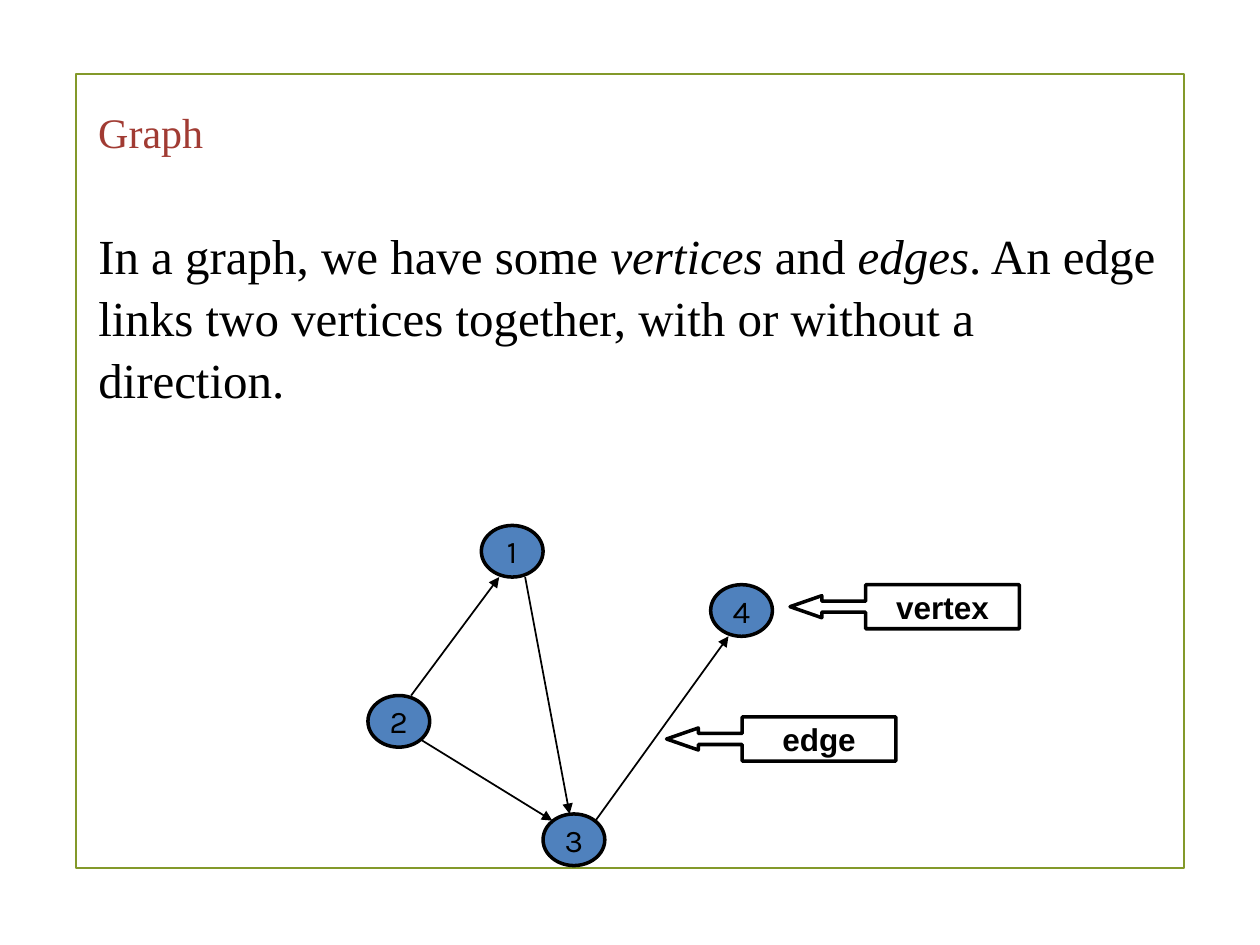
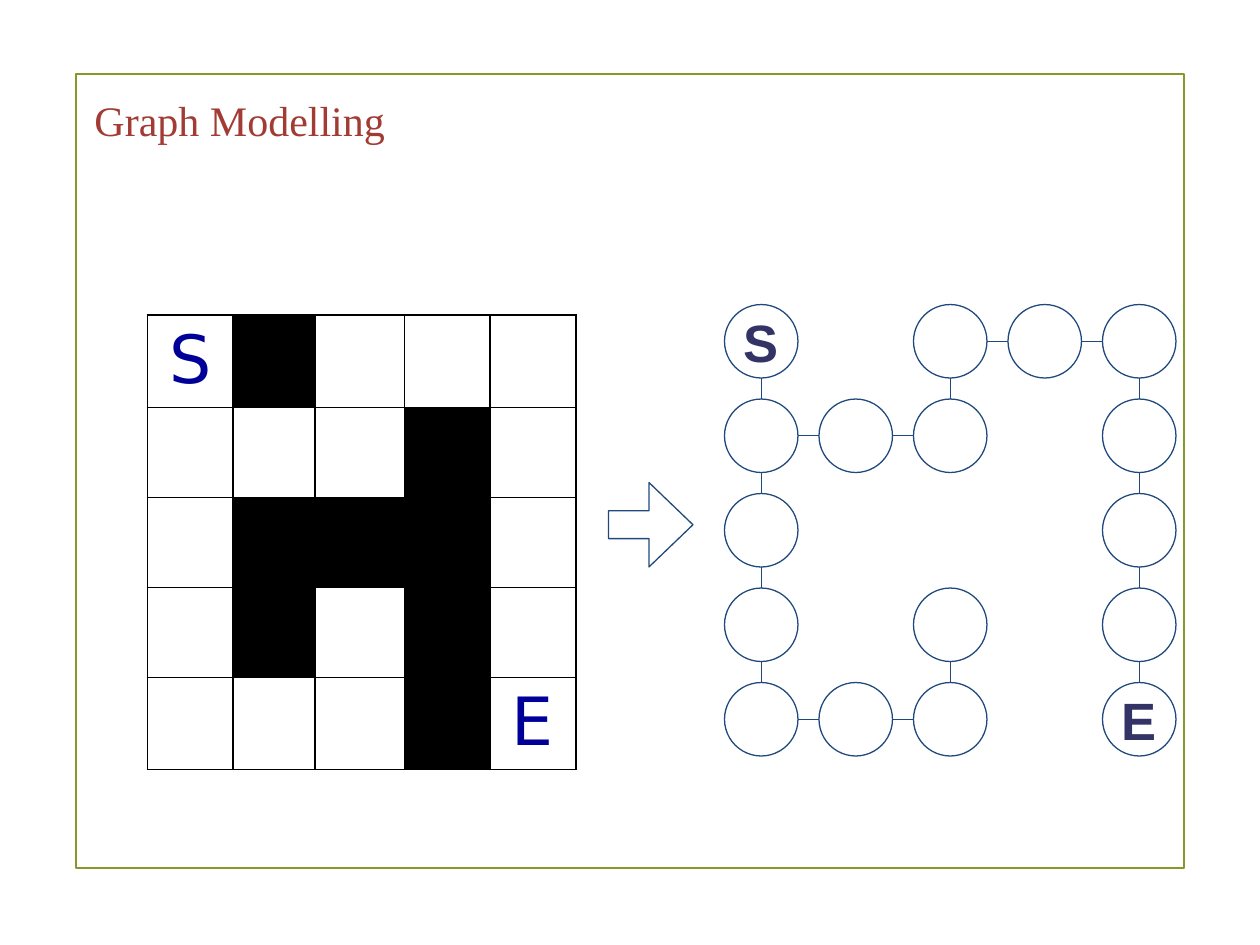
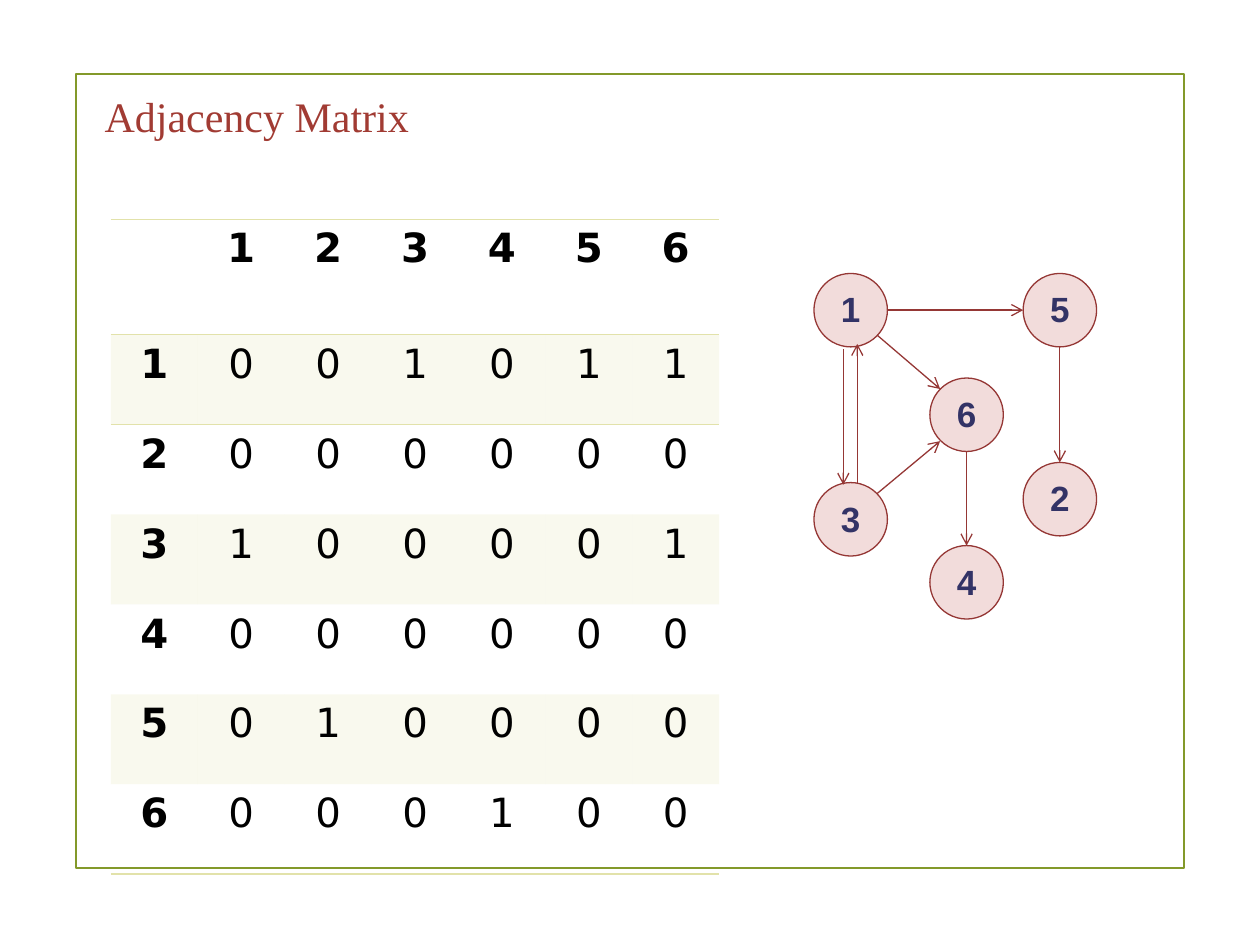
from dataclasses import dataclass
from itertools import product
from typing import Any, Optional

from lxml import etree
from pptx import Presentation
from pptx.dml.color import RGBColor
from pptx.enum.shapes import MSO_CONNECTOR, MSO_SHAPE
from pptx.enum.text import MSO_ANCHOR, PP_ALIGN
from pptx.oxml.ns import qn
from pptx.util import Inches, Pt

# Members of enumerations
ELLIPSE, RECTANGLE = MSO_SHAPE.OVAL, MSO_SHAPE.RECTANGLE
RIGHT_ARROW, LEFT_CALLOUT = MSO_SHAPE.RIGHT_ARROW, MSO_SHAPE.LEFT_ARROW_CALLOUT
STRAIGHT = MSO_CONNECTOR.STRAIGHT
TOP, MIDDLE, BOTTOM = MSO_ANCHOR.TOP, MSO_ANCHOR.MIDDLE, MSO_ANCHOR.BOTTOM
LEFT, CENTER = PP_ALIGN.LEFT, PP_ALIGN.CENTER

# The slide is a grid of 100 columns and 75 rows of square units
SLIDE_WIDTH, SLIDE_HEIGHT = Inches(10), Inches(7.5)
UNIT = SLIDE_WIDTH // 100

# Colours
BLACK = RGBColor(0x00, 0x00, 0x00)
WHITE = RGBColor(0xFF, 0xFF, 0xFF)
FRAME_GREEN = RGBColor(0x83, 0x99, 0x2A)
TITLE_RED = RGBColor(0xA1, 0x3B, 0x33)
VERTEX_BLUE = RGBColor(0x4F, 0x81, 0xBD)
MAZE_BLUE = RGBColor(0x00, 0x00, 0x99)
LINE_BLUE = RGBColor(0x1F, 0x49, 0x7D)
LABEL_NAVY = RGBColor(0x33, 0x33, 0x66)
VERTEX_PINK = RGBColor(0xF2, 0xDC, 0xDB)
LINE_RED = RGBColor(0x95, 0x37, 0x35)
TABLE_SAND = RGBColor(0xE2, 0xE2, 0xAA)

NO_STYLE_NO_GRID = "{2D5ABB26-0587-4C30-8999-92F81FD0307C}"


@dataclass(frozen=True)
class Box:
    """A rectangle in grid units."""
    left: float
    top: float
    width: float
    height: float

    def lengths(self) -> list[int]:
        return [round(value * UNIT) for value in (self.left, self.top, self.width, self.height)]

    def point(self, across: float, down: float) -> tuple[float, float]:
        """The point at these shares of the width and height."""
        return self.left + across * self.width, self.top + down * self.height


@dataclass(frozen=True)
class TextStyle:
    font: str
    size: float
    color: RGBColor
    bold: bool = False


@dataclass(frozen=True)
class Look:
    """Fill, outline and label of a shape or line."""
    line: RGBColor
    weight: float
    fill: Optional[RGBColor] = None
    text: Optional[TextStyle] = None
    anchor: Any = MIDDLE
    arrow: str = ""


@dataclass(frozen=True)
class Edge:
    """A line between two vertices; its ends are shares of their boxes."""
    source: int
    target: int
    start: tuple[float, float]
    end: tuple[float, float]


# Shared styles
TITLE = TextStyle("Times New Roman", 24, TITLE_RED)
BODY = TextStyle("Times New Roman", 28, BLACK)
FRAME = Look(FRAME_GREEN, 1.2)
FRAME_BOX = Box(6, 5.9, 88, 63)

# Slide 1: a small graph
VERTEX = Look(BLACK, 2, VERTEX_BLUE, TextStyle("Karla", 18, BLACK))
CALLOUT = Look(BLACK, 2, WHITE, TextStyle("Arial", 18, BLACK, True))
CALLOUT_SHARES = (0.25, 0.25, 0.72, 0.67)
DIRECTED = Look(BLACK, 1, arrow="triangle")
SENTENCE = [
    ("In a graph, we have some ", False), ("vertices", True), (" and ", False), ("edges", True),
    (". An edge links two vertices together, with or without a direction.", False),
]
GRAPH_PLACES = {1: (38.2, 41.7), 2: (29.2, 55.2), 4: (56.4, 46.4), 3: (43.1, 64.6)}
GRAPH_EDGES = [
    Edge(2, 3, (0.85, 0.85), (0.15, 0.13)),
    Edge(3, 4, (0.85, 0.13), (0.29, 1)),
    Edge(2, 1, (0.7, 0), (0.29, 1)),
    Edge(1, 3, (0.71, 1), (0.43, 0)),
]
CALLOUTS = {"vertex": (62.7, 46.4), "edge": (52.9, 56.9)}

# Slide 2: a maze and its graph, # is a wall
MAZE = ["S#...", "...#.", ".###.", ".#.#.", "...#E"]
MAZE_TEXT = TextStyle("DejaVu Sans", 38, MAZE_BLUE)
MAZE_COLUMNS = [6.8, 6.5, 7.1, 6.8, 6.8]
MAZE_ROWS = [7.14] * len(MAZE)
ROOM = Look(LINE_BLUE, 0.75, text=TextStyle("Arial", 30, LABEL_NAVY, True))
ROOM_SIZE, ROOM_PITCH = 5.83, 7.5

# Slide 3: a directed graph, from which the matrix follows
MATRIX_TEXT = TextStyle("DejaVu Sans", 23, BLACK)
MATRIX_HEAD = TextStyle("DejaVu Sans", 23, BLACK, True)
NODE = Look(LINE_RED, 0.75, VERTEX_PINK, TextStyle("Arial", 20, LABEL_NAVY, True), BOTTOM)
ARC = Look(LINE_RED, 0.75, arrow="arrow")
NODE_PLACES = {
    1: (64.6, 21.7), 2: (81.2, 36.7), 3: (64.6, 38.3),
    4: (73.8, 43.3), 6: (73.8, 30), 5: (81.2, 21.7),
}
NODE_EDGES = [
    Edge(1, 3, (0.4, 1.03), (0.4, 0.03)),
    Edge(3, 1, (0.59, 0), (0.59, 0.96)),
    Edge(1, 6, (0.86, 0.84), (0.14, 0.15)),
    Edge(1, 5, (1, 0.5), (0, 0.5)),
    Edge(6, 4, (0.5, 1), (0.5, 0)),
    Edge(5, 2, (0.5, 1), (0.5, 0)),
    Edge(3, 6, (0.86, 0.15), (0.14, 0.86)),
]


def apply(target: Any, values: dict[str, Any]) -> None:
    for name, value in values.items():
        setattr(target, name, value)


# Text
def add_span(para: Any, text: str, style: TextStyle, italic: bool = False) -> None:
    span = para.add_run()
    span.text = text
    apply(span.font, {"name": style.font, "size": Pt(style.size), "bold": style.bold, "italic": italic})
    span.font.color.rgb = style.color


def add_text(page: Any, box: Box, spans: list[tuple[str, bool]], style: TextStyle,
             anchor: Any, spacing: dict[str, Any]) -> None:
    frame = page.shapes.add_textbox(*box.lengths()).text_frame
    apply(frame, {"word_wrap": True, "vertical_anchor": anchor, "margin_left": 0,
                  "margin_top": 0, "margin_right": 0, "margin_bottom": 0})
    para = frame.paragraphs[0]
    apply(para, {"alignment": LEFT, **spacing})
    for text, italic in spans:
        add_span(para, text, style, italic)


# Shapes and lines
def add_shape(page: Any, kind: Any, box: Box, look: Look, label: str = "",
              shares: tuple[float, ...] = ()) -> None:
    shape = page.shapes.add_shape(kind, *box.lengths())
    shape.shadow.inherit = False
    for index, share in enumerate(shares):
        shape.adjustments[index] = share
    if look.fill is None:
        shape.fill.background()
    else:
        shape.fill.solid()
        shape.fill.fore_color.rgb = look.fill
    shape.line.color.rgb = look.line
    shape.line.width = Pt(look.weight)
    if label and look.text:
        apply(shape.text_frame, {"word_wrap": False, "vertical_anchor": look.anchor})
        para = shape.text_frame.paragraphs[0]
        para.alignment = CENTER
        add_span(para, label, look.text)


def add_line(page: Any, start: tuple[float, float], end: tuple[float, float], look: Look) -> None:
    line = page.shapes.add_connector(STRAIGHT, *(round(value * UNIT) for value in start + end))
    line.line.color.rgb = look.line
    line.line.width = Pt(look.weight)
    if look.arrow:
        etree.SubElement(line.line._get_or_add_ln(), qn("a:tailEnd"), type=look.arrow)
    etree.SubElement(line._element.spPr, qn("a:effectLst"))


def add_graph(page: Any, places: dict[int, tuple[float, float]], size: tuple[float, float],
              edges: list[Edge], node: Look, arc: Look) -> None:
    boxes = {number: Box(*place, *size) for number, place in places.items()}
    for number, box in boxes.items():
        add_shape(page, ELLIPSE, box, node, str(number))
    for edge in edges:
        add_line(page, boxes[edge.source].point(*edge.start), boxes[edge.target].point(*edge.end), arc)


# Tables
def add_table(page: Any, left: float, top: float, columns: list[float], rows: list[float]) -> Any:
    box = Box(left, top, sum(columns), sum(rows))
    table = page.shapes.add_table(len(rows), len(columns), *box.lengths()).table
    apply(table, {"first_row": False, "horz_banding": False})
    table._tbl.tblPr.find(qn("a:tableStyleId")).text = NO_STYLE_NO_GRID
    for column, width in zip(table.columns, columns):
        column.width = round(width * UNIT)
    for row, height in zip(table.rows, rows):
        row.height = round(height * UNIT)
    return table


def format_cell(cell: Any, text: str, style: TextStyle, fill: Optional[RGBColor], opacity: int,
                sides: str, border: RGBColor) -> None:
    if fill is None:
        cell.fill.background()
    else:
        cell.fill.solid()
        cell.fill.fore_color.rgb = fill
        color = cell._tc.tcPr.find(".//" + qn("a:srgbClr"))
        etree.SubElement(color, qn("a:alpha"), val=str(opacity * 1000))
    for index, side in enumerate(sides):
        line = etree.Element(qn("a:ln" + side), w=str(Pt(1)))
        solid = etree.SubElement(line, qn("a:solidFill"))
        etree.SubElement(solid, qn("a:srgbClr"), val=str(border))
        cell._tc.tcPr.insert(index, line)
    if text:
        para = cell.text_frame.paragraphs[0]
        para.alignment = CENTER
        add_span(para, text, style)


# Slides
def add_page(deck: Any, title: str, box: Box, anchor: Any = TOP) -> Any:
    page = deck.slides.add_slide(deck.slide_layouts[6])
    add_shape(page, RECTANGLE, FRAME_BOX, FRAME)
    add_text(page, box, [(title, False)], TITLE, anchor, {"space_before": Pt(0), "line_spacing": 1.1})
    return page


def build_graph_page(deck: Any) -> None:
    page = add_page(deck, "Graph", Box(7.8, 6.8, 88.7, 6.9), MIDDLE)
    add_text(page, Box(7.8, 17.7, 84.5, 50), SENTENCE, BODY, TOP,
             {"space_before": Pt(2), "line_spacing": 1.05})
    add_graph(page, GRAPH_PLACES, (4.9, 4.1), GRAPH_EDGES, VERTEX, DIRECTED)
    for label, place in CALLOUTS.items():
        add_shape(page, LEFT_CALLOUT, Box(*place, 18.2, 3.5), CALLOUT, label, CALLOUT_SHARES)


def build_maze_page(deck: Any) -> None:
    page = add_page(deck, "Graph Modelling", Box(7.5, 7.1, 87.3, 8))
    table = add_table(page, 11.7, 25, MAZE_COLUMNS, MAZE_ROWS)
    rooms: dict[tuple[int, int], Box] = {}
    for row, column in product(range(len(MAZE)), range(len(MAZE_COLUMNS))):
        mark = MAZE[row][column]
        label = mark if mark.isalpha() else ""
        fill = BLACK if mark == "#" else None
        format_cell(table.cell(row, column), label, MAZE_TEXT, fill, 100, "LRTB", BLACK)
        if mark != "#":
            rooms[row, column] = Box(57.5 + column * ROOM_PITCH, 24.17 + row * ROOM_PITCH,
                                     ROOM_SIZE, ROOM_SIZE)
            add_shape(page, ELLIPSE, rooms[row, column], ROOM, label)
    # Neighbouring rooms are linked
    for (row, column), room in rooms.items():
        below, beside = rooms.get((row + 1, column)), rooms.get((row, column + 1))
        if below:
            add_line(page, room.point(0.5, 1), below.point(0.5, 0), ROOM)
        if beside:
            add_line(page, room.point(1, 0.5), beside.point(0, 0.5), ROOM)
    add_shape(page, RIGHT_ARROW, Box(48.3, 38.3, 6.7, 6.7), ROOM, shares=(0.33, 0.52))


def build_matrix_page(deck: Any) -> None:
    page = add_page(deck, "Adjacency Matrix", Box(8.3, 6.8, 88.1, 7.4))
    count = len(NODE_PLACES)
    table = add_table(page, 8.8, 17.4, [6.9] * (count + 1), [9.15] + [7.14] * count)
    links = {(edge.source, edge.target) for edge in NODE_EDGES}
    for row, column in product(range(count + 1), repeat=2):
        heading = row == 0 or column == 0
        text = str(row or column or "") if heading else str(int((row, column) in links))
        sides = {0: "TB", 1: "T", count: "B"}.get(row, "")
        format_cell(table.cell(row, column), text, MATRIX_HEAD if heading else MATRIX_TEXT,
                    TABLE_SAND if row % 2 else None, 20, sides, TABLE_SAND)
    add_graph(page, NODE_PLACES, (5.83, 5.83), NODE_EDGES, NODE, ARC)


def main() -> None:
    deck = Presentation()
    apply(deck, {"slide_width": SLIDE_WIDTH, "slide_height": SLIDE_HEIGHT})
    build_graph_page(deck)
    build_maze_page(deck)
    build_matrix_page(deck)
    deck.save("out.pptx")


if __name__ == "__main__":
    main()
